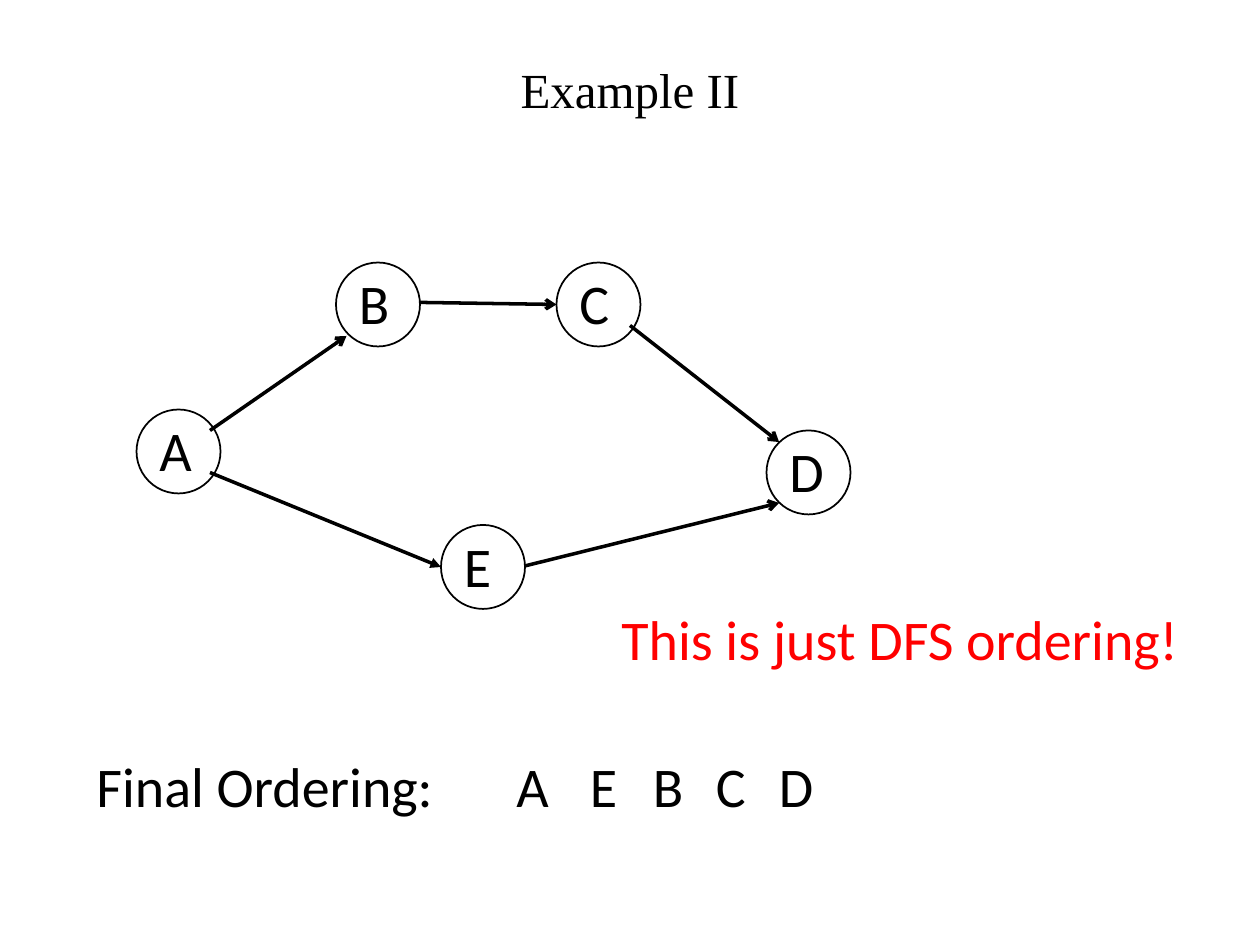
from lxml.etree import SubElement
from pptx import Presentation
from pptx.dml.color import RGBColor
from pptx.enum.shapes import MSO_CONNECTOR, MSO_SHAPE
from pptx.enum.text import MSO_ANCHOR, MSO_AUTO_SIZE, PP_ALIGN
from pptx.oxml.ns import qn
from pptx.util import Inches, Pt

COLORS = {"ink": "000000", "note": "FF0000"}
INK = RGBColor.from_string(COLORS["ink"])

presentation = Presentation()
presentation.slide_width, presentation.slide_height = Inches(10), Inches(7.5)
slide = presentation.slides.add_slide(presentation.slide_layouts[5])

# Grid of 120 columns by 90 rows
CELL = presentation.slide_width / 120
NODE_SIZE = 8
TEXT_HEIGHT = 7.7


def grid(*counts):
    return [round(count * CELL) for count in counts]


def add_text(text, column, row, width, color="ink"):
    box = slide.shapes.add_textbox(*grid(column, row, width, TEXT_HEIGHT))
    frame = box.text_frame
    frame.word_wrap = True
    frame.auto_size = MSO_AUTO_SIZE.SHAPE_TO_FIT_TEXT
    frame.text = text
    font = frame.paragraphs[0].font
    for name, value in {"name": "Calibri", "size": Pt(32)}.items():
        setattr(font, name, value)
    font.color.rgb = RGBColor.from_string(COLORS[color])


# Title
title = slide.shapes.title
title.left, title.top, title.width, title.height = grid(9, 5, 102, 7)
title.text_frame.text = "Example II"
title.text_frame.vertical_anchor = MSO_ANCHOR.MIDDLE
paragraph = title.text_frame.paragraphs[0]
paragraph.alignment = PP_ALIGN.CENTER
for name, value in {"name": "Times New Roman", "size": Pt(28)}.items():
    setattr(paragraph.font, name, value)
paragraph.font.color.rgb = INK

# Graph nodes: column and row of each circle
nodes = {"A": (13, 39), "B": (32, 25), "C": (53, 25), "D": (73, 41), "E": (42, 50)}
for label, (column, row) in nodes.items():
    circle = slide.shapes.add_shape(
        MSO_SHAPE.OVAL, *grid(column, row, NODE_SIZE, NODE_SIZE))
    circle.shadow.inherit = False
    circle.fill.background()
    circle.line.color.rgb = INK
    circle.line.width = Pt(1)
    add_text(label, column + 1, row, NODE_SIZE - 1)

# Graph edges: start and end points, which end has the arrowhead, and its type
edges = [
    (42, 54, 20, 45, "a:headEnd", "triangle"),  # A to E
    (20, 41, 33, 32, "a:tailEnd", "arrow"),  # A to B
    (40, 28.8, 53, 29, "a:tailEnd", "arrow"),  # B to C
    (60, 31, 74.2, 42.1, "a:tailEnd", "arrow"),  # C to D
    (50, 53.9, 74.2, 47.9, "a:tailEnd", "arrow"),  # E to D
]
for *points, arrow_end, arrow_type in edges:
    edge = slide.shapes.add_connector(MSO_CONNECTOR.STRAIGHT, *grid(*points))
    edge.line.color.rgb = INK
    edge.line.width = Pt(2)
    SubElement(edge.line._get_or_add_ln(), qn(arrow_end), type=arrow_type)
    SubElement(edge._element.spPr, qn("a:effectLst"))

# Final ordering
ORDER_ROW = 71
add_text("Final Ordering:", 8, ORDER_ROW, 35)
add_text("A", 48, ORDER_ROW, 6)
for index, label in enumerate("EBCD"):
    add_text(label, 55 + 6 * index, ORDER_ROW, 6)

# Remark
add_text("This is just DFS ordering!", 58, 57, 56, "note")

presentation.save("out.pptx")
